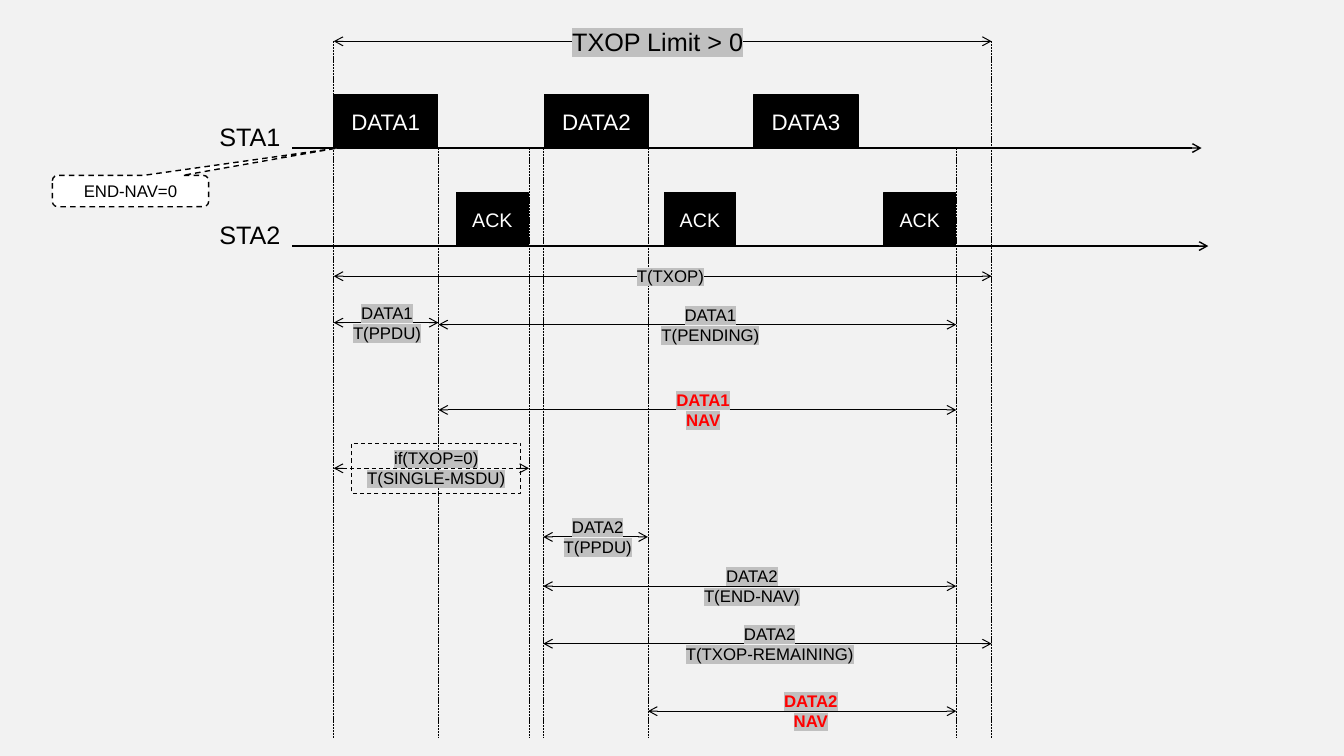
from pptx import Presentation
from pptx.dml.color import RGBColor
from pptx.enum.dml import MSO_LINE as Dash
from pptx.enum.shapes import MSO_CONNECTOR as Connector, MSO_SHAPE as Shape
from pptx.enum.text import MSO_ANCHOR as Anchor, MSO_AUTO_SIZE as AutoSize, PP_ALIGN as Align
from pptx.oxml import parse_xml
from pptx.oxml.ns import nsdecls
from pptx.util import Cm, Pt

BLACK, WHITE, RED, GREY, PAPER = "000000", "FFFFFF", "FF0000", "C0C0C0", "F2F2F2"

# Moments on the time axis, in cm from the left edge of the slide
TXOP_START, DATA1_END, ACK1_END = 8.41, 11.05, 13.33
DATA2_START, DATA2_END, ACK3_END, TXOP_END = 13.69, 16.33, 24.1, 24.99
LIMIT_Y, STA1_Y, STA2_Y, GUIDE_END = 1.04, 3.73, 6.2, 18.59


def colour(hex_code):
    return RGBColor.from_string(hex_code)


def style_outline(line, width, dash=None):
    line.color.rgb = colour(BLACK)
    line.width = Pt(width)
    if dash:
        line.dash_style = dash


def add_line(shapes, x1, y1, x2, y2, width, dash=None, ends=()):
    """Draw a line; ends lists which of headEnd and tailEnd carry an arrow."""
    line = shapes.add_connector(Connector.STRAIGHT, Cm(x1), Cm(y1), Cm(x2), Cm(y2))
    style_outline(line.line, width, dash)
    for end in ends:
        line.line._get_or_add_ln().append(
            parse_xml(f'<a:{end} {nsdecls("a")} type="arrow"/>'))
    line._element.spPr.append(parse_xml(f'<a:effectLst {nsdecls("a")}/>'))


def write(frame, lines, size, ink=BLACK, align=Align.CENTER, bold=False, highlight=None):
    frame.text = "\n".join(lines)
    for paragraph in frame.paragraphs:
        paragraph.alignment = align
        font = paragraph.font
        font.name, font.size, font.bold = "Arial", Pt(size), bold
        font.color.rgb = colour(ink)
        if highlight:
            for run in paragraph.runs:
                run._r.get_or_add_rPr().append(parse_xml(
                    f'<a:highlight {nsdecls("a")}><a:srgbClr val="{highlight}"/></a:highlight>'))


def add_block(shapes, kind, left, top, width, height, fill, text, size, ink):
    block = shapes.add_shape(kind, Cm(left), Cm(top), Cm(width), Cm(height))
    block.shadow.inherit = False
    block.fill.solid()
    block.fill.fore_color.rgb = colour(fill)
    style_outline(block.line, 1)
    block.text_frame.vertical_anchor = Anchor.MIDDLE
    write(block.text_frame, [text], size, ink)
    return block


def add_guides(slide, top, bottom):
    """Dashed verticals; the two TXOP limits start higher than the rest."""
    for x in (TXOP_START, DATA1_END, ACK1_END, DATA2_START, DATA2_END, ACK3_END, TXOP_END):
        start = LIMIT_Y if x in (TXOP_START, TXOP_END) else top
        add_line(slide.shapes, x, start, x, bottom, 0.5, Dash.SQUARE_DOT)


def add_station(slide, left, axis_y, length, name, frames, frame_width, size):
    """Time axis of one station, with frames given as (offset, text) standing on it."""
    add_line(slide.shapes, left, axis_y, left + length, axis_y, 1, ends=["tailEnd"])
    label = slide.shapes.add_textbox(Cm(left - 2.09), Cm(axis_y - 0.81), Cm(2.06), Cm(1.02))
    label.text_frame.word_wrap = False
    write(label.text_frame, [name], 18, align=Align.LEFT)
    for offset, text in frames:
        add_block(slide.shapes, Shape.RECTANGLE, left + offset, axis_y - 1.35,
                  frame_width, 1.35, BLACK, text, size, WHITE)


def add_span(slide, start, end, y, offset, width, lines, size=12, dashed=False):
    """Double arrow with a label centred on its height, offset from its start."""
    shapes = slide.shapes.add_group_shape().shapes
    dash = Dash.DASH if dashed else None
    add_line(shapes, start, y, end, y, 0.75, dash, ["headEnd", "tailEnd"])
    single = len(lines) == 1
    height = 1.27 if not single else 0.76 if size == 12 else 1.02
    label = shapes.add_textbox(Cm(start + offset), Cm(y - height / 2), Cm(width), Cm(height))
    label.text_frame.word_wrap = size == 12
    label.text_frame.auto_size = AutoSize.SHAPE_TO_FIT_TEXT
    if dashed:
        style_outline(label.line, 0.75, dash)
    is_nav = "NAV" in lines
    write(label.text_frame, lines, size, RED if is_nav else BLACK,
          Align.LEFT if single else Align.CENTER, is_nav, GREY)


def add_callout(slide, left, top, width, height, text):
    callout = add_block(slide.shapes, Shape.ROUNDED_RECTANGULAR_CALLOUT,
                        left, top, width, height, WHITE, text, 12, BLACK)
    callout.line.dash_style = Dash.DASH
    for index, value in enumerate((1.32, -1.37, 0.17)):
        callout.adjustments[index] = value


def main():
    deck = Presentation()
    deck.slide_width, deck.slide_height = Cm(33.87), Cm(19.05)
    slide = deck.slides.add_slide(deck.slide_layouts[6])
    slide.background.fill.solid()
    slide.background.fill.fore_color.rgb = colour(PAPER)

    add_station(slide, 7.37, STA1_Y, 22.91, "STA1",
                [(1.04, "DATA1"), (6.35, "DATA2"), (11.63, "DATA3")], 2.62, 16)
    add_station(slide, 7.37, STA2_Y, 23.08, "STA2",
                [(offset, "ACK") for offset in (4.14, 9.37, 14.91)], 1.8, 14)
    add_guides(slide, STA1_Y, GUIDE_END)

    add_span(slide, TXOP_START, TXOP_END, LIMIT_Y, 5.76, 4.83, ["TXOP Limit > 0"], size=18)
    add_span(slide, TXOP_START, DATA1_END, 8.13, 0.2, 2.29, ["DATA1", "T(PPDU)"])
    add_span(slide, DATA1_END, ACK3_END, 8.18, 4.67, 4.37, ["DATA1", "T(PENDING)"])
    add_span(slide, TXOP_START, ACK1_END, 11.8, 0.45, 4.27,
             ["if(TXOP=0)", "T(SINGLE-MSDU)"], dashed=True)
    add_span(slide, TXOP_START, TXOP_END, 6.96, 7.39, 2.87, ["T(TXOP)"])
    add_span(slide, DATA2_START, TXOP_END, 16.22, 3.12, 5.18, ["DATA2", "T(TXOP-REMAINING)"])
    add_span(slide, DATA2_START, DATA2_END, 13.53, 0.23, 2.29, ["DATA2", "T(PPDU)"])
    add_span(slide, DATA1_END, ACK3_END, 10.33, 5.54, 2.26, ["DATA1", "NAV"])
    add_span(slide, DATA2_START, ACK3_END, 14.77, 2.87, 4.78, ["DATA2", "T(END-NAV)"])
    add_span(slide, DATA2_END, ACK3_END, 17.92, 2.24, 3.73, ["DATA2", "NAV"])

    add_callout(slide, 1.32, 4.42, 3.94, 0.79, "END-NAV=0")
    deck.save("out.pptx")


if __name__ == "__main__":
    main()
